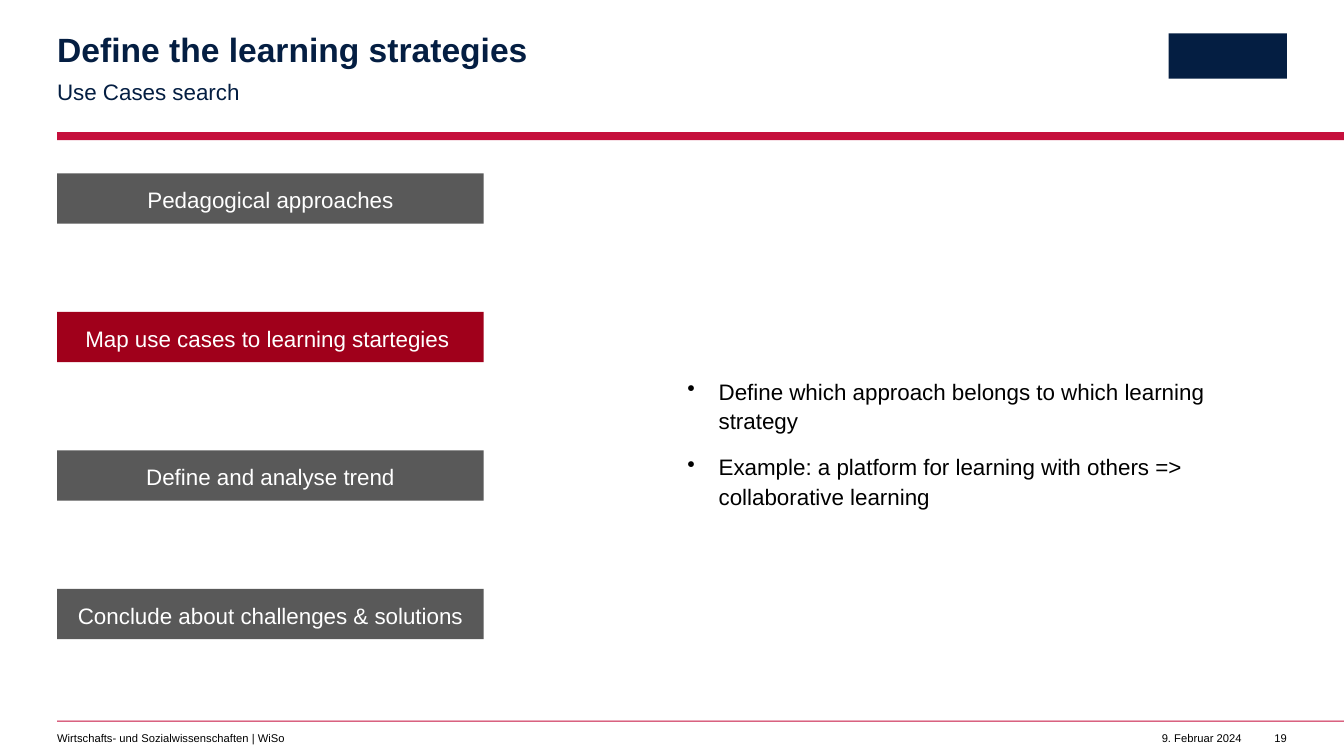
import pptx
import pptx.dml.color
import pptx.enum.shapes
import pptx.enum.text
import pptx.util
from lxml import etree

RGBColor = pptx.dml.color.RGBColor
Align = pptx.enum.text.PP_ALIGN
Anchor = pptx.enum.text.MSO_ANCHOR

NAVY = RGBColor(0x04, 0x1E, 0x42)
CRIMSON = RGBColor(0xC5, 0x0F, 0x3C)
DARK_RED = RGBColor(0xA0, 0x00, 0x1B)
GREY = RGBColor(0x59, 0x59, 0x59)
BLACK = RGBColor(0, 0, 0)
WHITE = RGBColor(255, 255, 255)

FONT = "Arial"
WIDTH = pptx.util.Inches(13.333)
HEIGHT = pptx.util.Inches(7.5)

# Places are percentages of the slide's width and height
LEFT = 4.25
RULE_WIDTH = 100 - LEFT
FOOTER_TOP, FOOTER_HEIGHT = 96.8, 1.73
STEP_TOP, STEP_PITCH = 22.93, 18.32
STEP_WIDTH, STEP_HEIGHT = 31.75, 6.67

STEPS = [
    "Pedagogical approaches",
    "Map use cases to learning startegies ",
    "Define and analyse trend",
    "Conclude about challenges & solutions",
]
CURRENT_STEP = 1
POINTS = [
    "Define which approach belongs to which learning strategy",
    "Example: a platform for learning with others => collaborative learning",
]


def place(left, top, width, height):
    """Turn percentages of the slide into lengths."""
    return (int(WIDTH * left / 100), int(HEIGHT * top / 100),
            int(WIDTH * width / 100), int(HEIGHT * height / 100))


def add_bullet(para):
    indent = pptx.util.Inches(0.31)
    properties = para._p.get_or_add_pPr()
    properties.set("marL", str(indent))
    properties.set("indent", str(-indent))
    bullet = etree.SubElement(properties, pptx.oxml.ns.qn("a:buChar"))
    bullet.set("char", "•")


def write(frame, texts, size, color, bold=False, align=Align.LEFT,
          line=1.0, after=0, bullets=False):
    frame.word_wrap = True
    frame.margin_left = frame.margin_right = 0
    frame.margin_top = frame.margin_bottom = 0
    for index, text in enumerate(texts):
        para = frame.paragraphs[0] if index == 0 else frame.add_paragraph()
        if bullets:
            add_bullet(para)
        para.alignment = align
        para.line_spacing = line
        para.space_after = pptx.util.Pt(after)
        span = para.add_run()
        span.text = text
        span.font.name = FONT
        span.font.size = pptx.util.Pt(size)
        span.font.bold = bold
        span.font.color.rgb = color


def add_text(page, area, texts, size, color, **style):
    box = page.shapes.add_textbox(*place(*area))
    write(box.text_frame, texts, size, color, **style)


def add_block(page, area, color):
    block = page.shapes.add_shape(
        pptx.enum.shapes.MSO_SHAPE.RECTANGLE, *place(*area))
    block.shadow.inherit = False
    block.fill.solid()
    block.fill.fore_color.rgb = color
    block.line.fill.background()
    return block


def add_step(page, index, text):
    color = DARK_RED if index == CURRENT_STEP else GREY
    area = (LEFT, STEP_TOP + index * STEP_PITCH, STEP_WIDTH, STEP_HEIGHT)
    frame = add_block(page, area, color).text_frame
    write(frame, [text], 16, WHITE, align=Align.CENTER, line=1.1, after=12)
    frame.vertical_anchor = Anchor.MIDDLE


def main():
    deck = pptx.Presentation()
    deck.slide_width, deck.slide_height = WIDTH, HEIGHT
    page = deck.slides.add_slide(deck.slide_layouts[6])

    # Rules and emblem block
    add_block(page, (LEFT, 17.47, RULE_WIDTH, 1.07), CRIMSON)
    add_block(page, (LEFT, 95.33, RULE_WIDTH, 0.13), CRIMSON)
    add_block(page, (86.95, 4.4, 8.8, 6), NAVY)

    # Heading
    add_text(page, (LEFT, 4.4, 63.5, 9.73), ["Define the learning strategies"],
             24, NAVY, bold=True, line=0.9)
    add_text(page, (LEFT, 10, 53.2, 9.87), ["Use Cases search"],
             16, NAVY, line=1.1, after=12)

    # Steps on the left, explanation on the right
    for index, text in enumerate(STEPS):
        add_step(page, index, text)
    add_text(page, (51.15, 49.6, 43.05, 47.87), POINTS,
             16, BLACK, line=1.1, after=12, bullets=True)

    # Footer
    for left, width, text, align in [
        (LEFT, 44.85, "Wirtschafts- und Sozialwissenschaften | WiSo", Align.LEFT),
        (85.45, 6.95, "9. Februar 2024", Align.RIGHT),
        (94.2, 1.55, "19", Align.RIGHT),
    ]:
        add_text(page, (left, FOOTER_TOP, width, FOOTER_HEIGHT), [text],
                 8, BLACK, align=align)

    deck.save("out.pptx")


if __name__ == "__main__":
    main()
